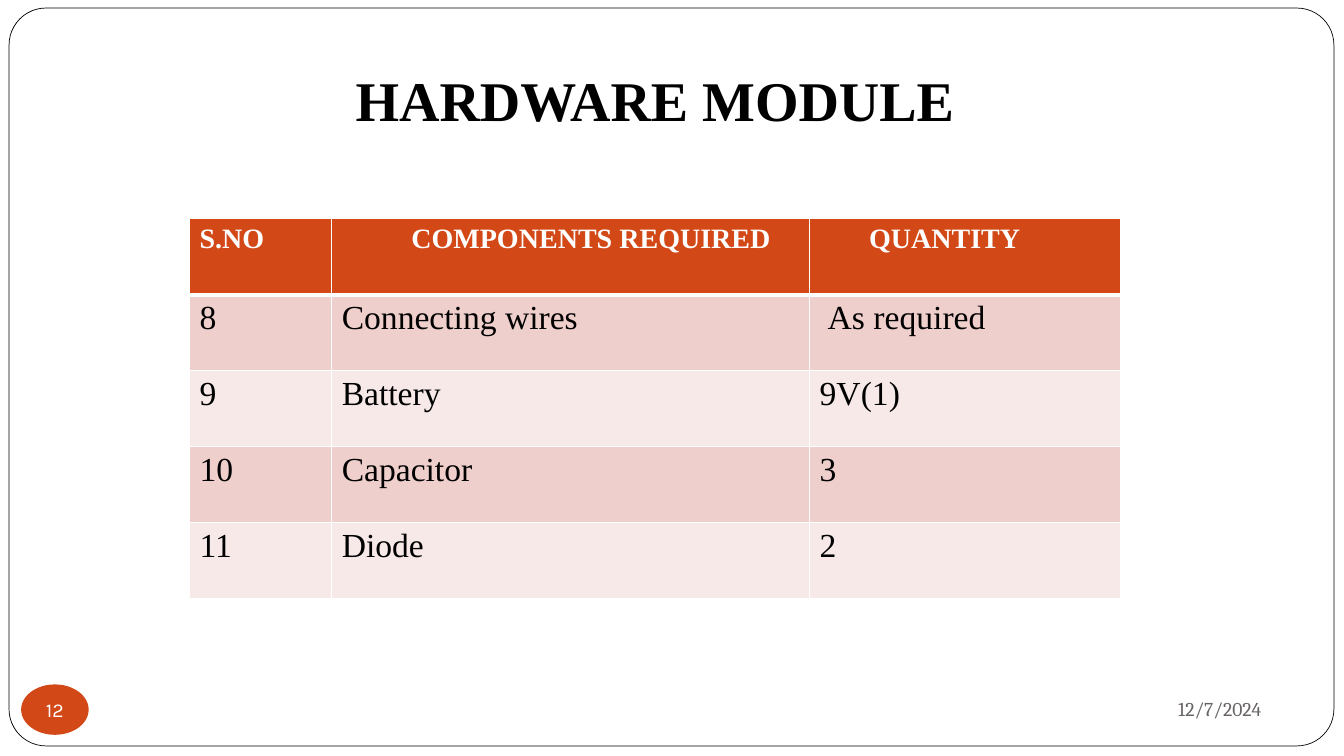
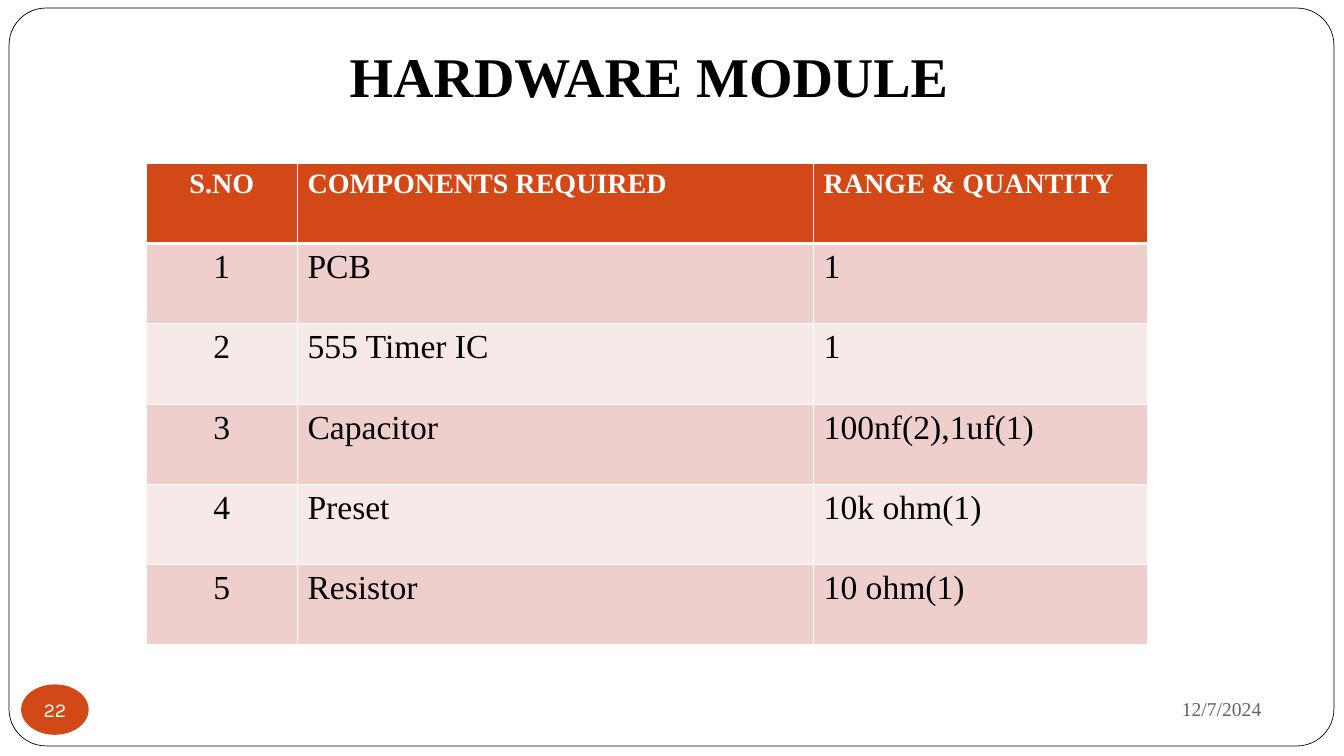
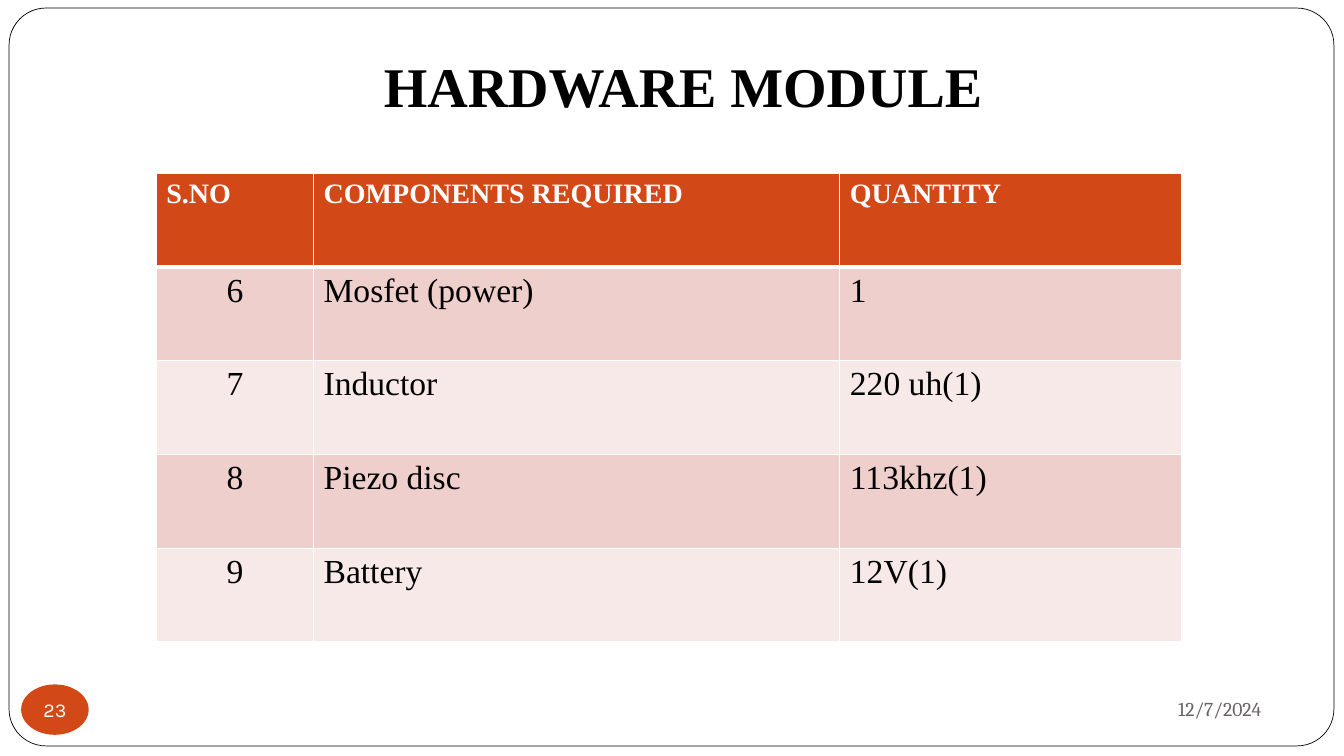
"""Builds the three hardware module slides, each with a component table."""
import pptx
import pptx.dml.color
import pptx.enum.shapes
import pptx.enum.text
import pptx.oxml.ns
import pptx.util
from lxml import etree

PX = 9144
ALIGN = pptx.enum.text.PP_ALIGN
ANCHOR = pptx.enum.text.MSO_ANCHOR
SHAPE = pptx.enum.shapes.MSO_SHAPE

SERIF = "Times New Roman"
ACCENT, WHITE, BLACK, GREY = "D34817", "FFFFFF", "000000", "696464"
BANDS = ("EFCFCC", "F7E9E8")
TITLE = "HARDWARE MODULE"
DATE = "12/7/2024"
CELL_INSET = 10

MODULES = [
    {
        "number": "12", "date_font": "Cambria", "title_box": (343, 60, 627, 77),
        "table_box": (188, 217, 923, 377), "columns": (141, 474, 308),
        "centred": (), "indents": {(0, 1): 69, (0, 2): 49, (1, 2): 8},
        "rows": [
            ("S.NO", "COMPONENTS REQUIRED", "QUANTITY"),
            ("8", "Connecting wires", "As required"),
            ("9", "Battery", "9V(1)"),
            ("10", "Capacitor", "3"),
            ("11", "Diode", "2"),
        ],
    },
    {
        "number": "22", "date_font": SERIF, "title_box": (337, 36, 885, 77),
        "table_box": (145, 162, 993, 478), "columns": (150, 512, 331),
        "centred": range(6), "indents": {},
        "rows": [
            ("S.NO", "COMPONENTS REQUIRED", "RANGE & QUANTITY"),
            ("1", "PCB", "1"),
            ("2", "555 Timer IC", "1"),
            ("3", "Capacitor", "100nf(2),1uf(1)"),
            ("4", "Preset", "10k ohm(1)"),
            ("5", "Resistor", "10 ohm(1)"),
        ],
    },
    {
        "number": "23", "date_font": "Cambria", "title_box": (371, 46, 620, 77),
        "table_box": (155, 172, 1017, 465), "columns": (156, 522, 339),
        "centred": range(1, 5), "indents": {},
        "rows": [
            ("S.NO", "COMPONENTS REQUIRED", "QUANTITY"),
            ("6", "Mosfet (power)", "1"),
            ("7", "Inductor", "220 uh(1)"),
            ("8", "Piezo disc", "113khz(1)"),
            ("9", "Battery", "12V(1)"),
        ],
    },
]


def px(*lengths):
    return [round(length * PX) for length in lengths]


def colour(hex_code):
    return pptx.dml.color.RGBColor.from_string(hex_code)


def paint(target, hex_code):
    target.fill.solid()
    target.fill.fore_color.rgb = colour(hex_code)


def write(frame, text, size, font, hex_code, bold=False, align=ALIGN.LEFT):
    paragraph = frame.paragraphs[0]
    paragraph.alignment = align
    run = paragraph.add_run()
    run.text = text
    run.font.size = pptx.util.Pt(size)
    run.font.name = font
    run.font.bold = bold
    run.font.color.rgb = colour(hex_code)


def add_textbox(slide, box, anchor=ANCHOR.TOP):
    frame = slide.shapes.add_textbox(*px(*box)).text_frame
    frame.word_wrap = True
    frame.vertical_anchor = anchor
    return frame


def add_panel(slide, kind, box, fill):
    panel = slide.shapes.add_shape(kind, *px(*box))
    panel.shadow.inherit = False
    paint(panel, fill)
    return panel


def add_page(deck, number, date_font):
    slide = deck.slides.add_slide(deck.slide_layouts[6])
    border = add_panel(slide, SHAPE.ROUNDED_RECTANGLE, (9, 8, 1314, 732), WHITE)
    border.adjustments[0] = 0.05
    border.line.color.rgb = colour(BLACK)
    border.line.width = pptx.util.Pt(0.5)

    date = add_textbox(slide, (900, 677, 361, 52), ANCHOR.MIDDLE)
    write(date, DATE, 14, date_font, GREY, align=ALIGN.RIGHT)

    badge = add_panel(slide, SHAPE.OVAL, (21, 679, 67, 50), ACCENT)
    badge.line.fill.background()
    label = badge.text_frame
    label.margin_left = label.margin_right = label.margin_top = label.margin_bottom = 0
    label.word_wrap = False
    label.vertical_anchor = ANCHOR.MIDDLE
    write(label, number, 14, "Karla", WHITE, align=ALIGN.CENTER)
    return slide


def add_borders(cell, top, bottom):
    qn = pptx.oxml.ns.qn
    properties = cell._tc.get_or_add_tcPr()
    for side, points in (("L", 1), ("R", 1), ("T", top), ("B", bottom)):
        edge = etree.SubElement(properties, qn("a:ln" + side), w=str(pptx.util.Pt(points)))
        fill = etree.SubElement(edge, qn("a:solidFill"))
        etree.SubElement(fill, qn("a:srgbClr"), val=WHITE)


def add_components(slide, module):
    rows, columns = module["rows"], module["columns"]
    table = slide.shapes.add_table(len(rows), len(columns), *px(*module["table_box"])).table
    for column, width in zip(table.columns, columns):
        column.width = px(width)[0]
    for r, texts in enumerate(rows):
        header = r == 0
        for c, text in enumerate(texts):
            cell = table.cell(r, c)
            add_borders(cell, 3 if r == 1 else 1, 3 if header else 1)
            paint(cell, ACCENT if header else BANDS[(r - 1) % 2])
            cell.margin_left = px(CELL_INSET + module["indents"].get((r, c), 0))[0]
            centred = c == 0 and r in module["centred"]
            write(cell.text_frame, text, 20 if header else 24, SERIF,
                  WHITE if header else BLACK, header,
                  ALIGN.CENTER if centred else ALIGN.LEFT)


def main():
    deck = pptx.Presentation()
    deck.slide_width, deck.slide_height = px(1333, 750)
    for module in MODULES:
        slide = add_page(deck, module["number"], module["date_font"])
        write(add_textbox(slide, module["title_box"]), TITLE, 40, SERIF, BLACK, True)
        add_components(slide, module)
    deck.save("out.pptx")


if __name__ == "__main__":
    main()
